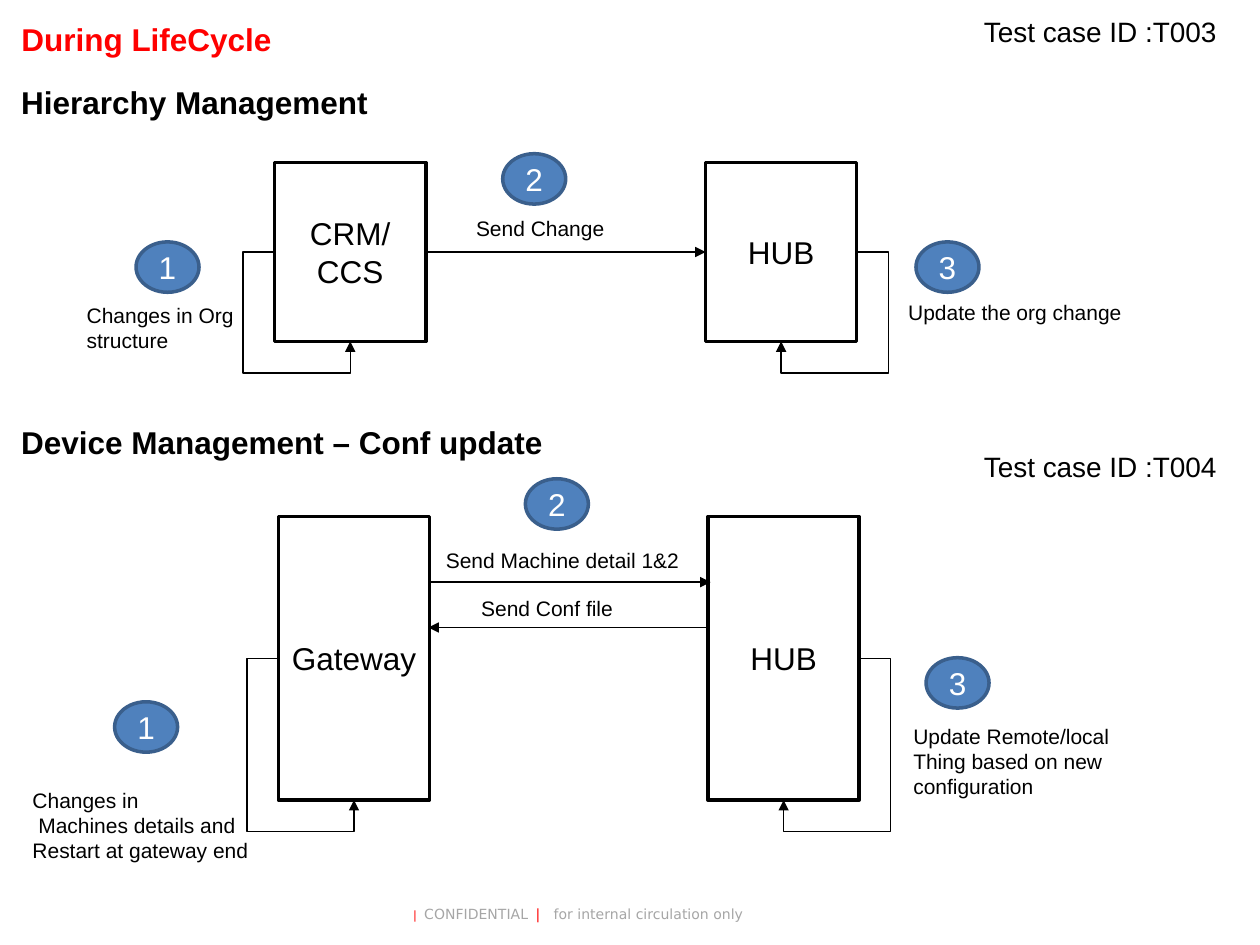
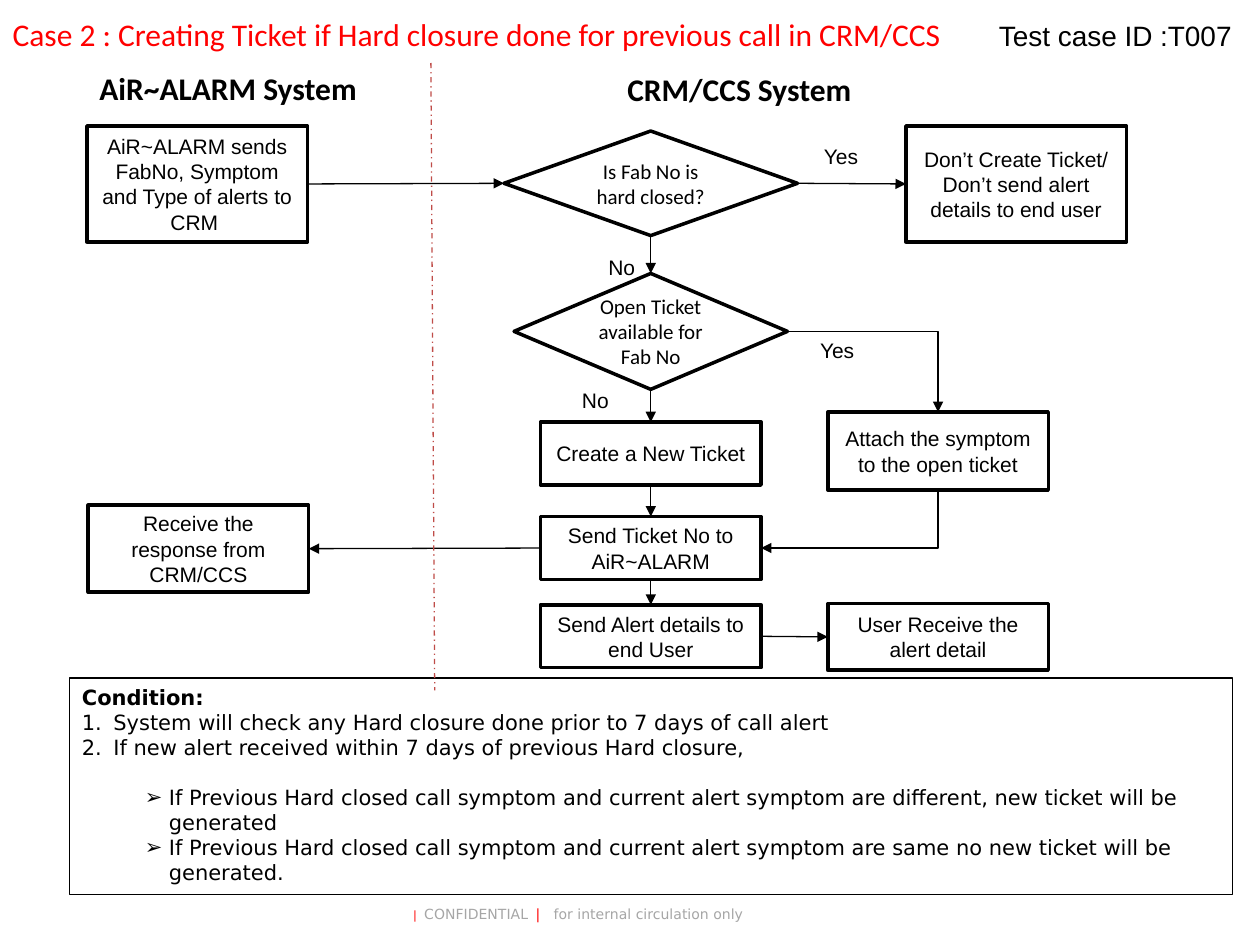
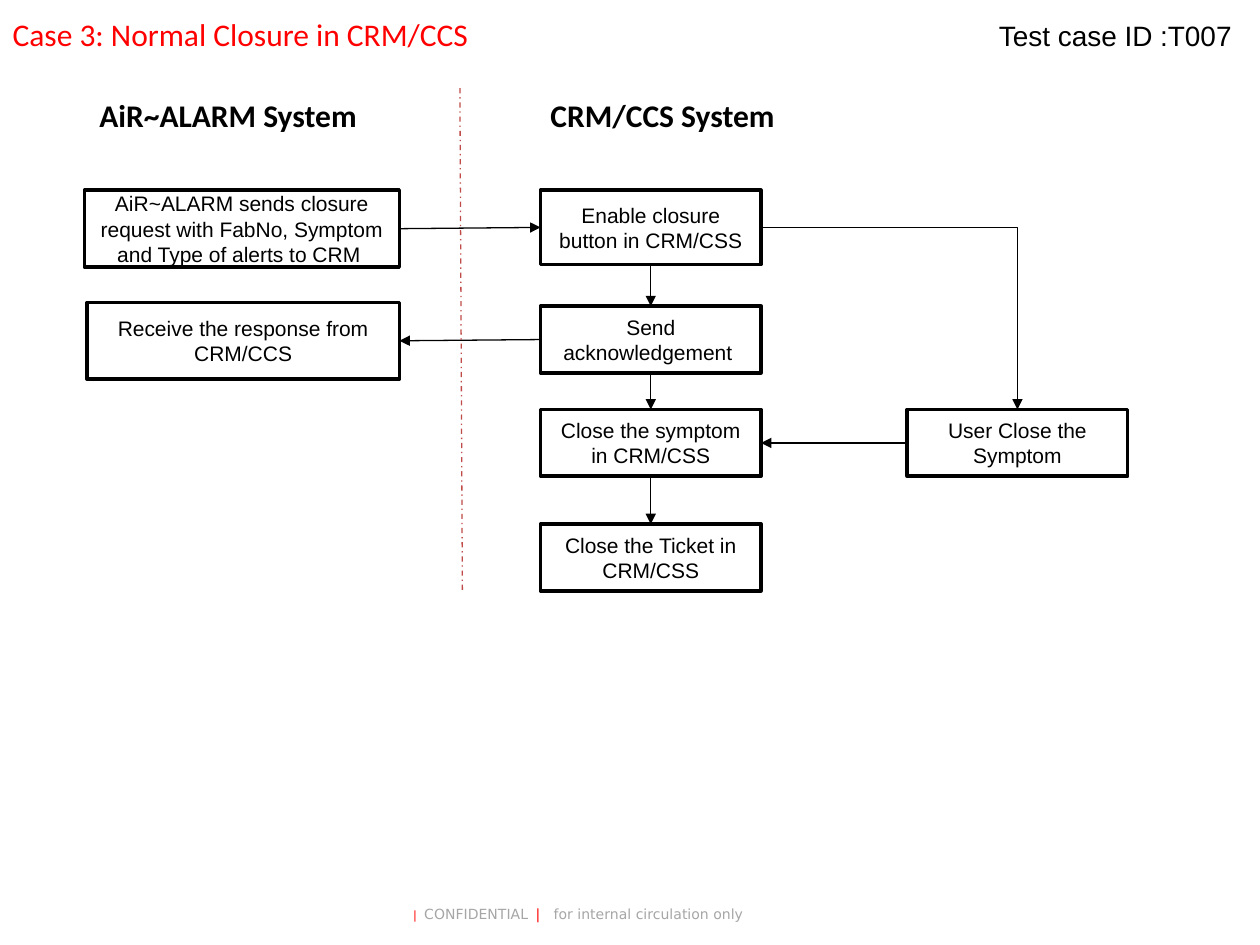
from lxml import etree
from pptx import Presentation
from pptx.dml.color import RGBColor
from pptx.enum.dml import MSO_LINE
from pptx.enum.shapes import MSO_CONNECTOR, MSO_SHAPE
from pptx.enum.text import MSO_ANCHOR, MSO_AUTO_SIZE, PP_ALIGN
from pptx.oxml.ns import qn
from pptx.util import Inches, Pt

RECTANGLE, OVAL = MSO_SHAPE.RECTANGLE, MSO_SHAPE.OVAL
DIAMOND, DECISION = MSO_SHAPE.DIAMOND, MSO_SHAPE.FLOWCHART_DECISION
STRAIGHT, ELBOW, DASH_DOT = MSO_CONNECTOR.STRAIGHT, MSO_CONNECTOR.ELBOW, MSO_LINE.DASH_DOT
LEFT, CENTER = PP_ALIGN.LEFT, PP_ALIGN.CENTER
TOP, MIDDLE, NO_AUTOFIT = MSO_ANCHOR.TOP, MSO_ANCHOR.MIDDLE, MSO_AUTO_SIZE.NONE
TITLE_ONLY, TITLE_AND_CONTENT = 5, 1
# Connection sites of rectangles and diamonds
TOP_SITE, LEFT_SITE, BOTTOM_SITE, RIGHT_SITE = range(4)

THEME = {
    "colors": {
        "black": RGBColor(0, 0, 0),
        "white": RGBColor(255, 255, 255),
        "red": RGBColor(255, 0, 0),
        "gray": RGBColor(0xA6, 0xA6, 0xA6),
        "blue": RGBColor(0x4F, 0x81, 0xBD),
        "dark blue": RGBColor(0x3A, 0x5F, 0x8C),
        "divider": RGBColor(0xBF, 0x4C, 0x48),
    },
    # font, size, bold, color
    "styles": {
        "life cycle title": ("Arial", 18, True, "red"),
        "case title": ("Calibri", 18, False, "red"),
        "section": ("Arial", 18, True, "black"),
        "system": ("Calibri", 18, True, "black"),
        "test case": ("Arial", 16, False, "black"),
        "large": ("Arial", 18, False, "black"),
        "label": ("Arial", 12, False, "black"),
        "decision": ("Calibri", 12, False, "black"),
        "step": ("Arial", 18, False, "white"),
        "condition": ("DejaVu Sans", 12, True, "black"),
        "rule": ("DejaVu Sans", 12, False, "black"),
        "footer bar small": ("DejaVu Sans", 6.5, False, "red"),
        "footer bar": ("DejaVu Sans", 8, False, "red"),
        "footer": ("DejaVu Sans", 8, False, "gray"),
    },
    "outline": Pt(2),
    "thin": Pt(0.75),
}
COLORS = THEME["colors"]
LOOP_REACH = Inches(0.25)


def write(shape, lines, align=LEFT, anchor=TOP):
    """Fill a shape with paragraphs, each a list of (text, style) runs."""
    frame = shape.text_frame
    settings = {"word_wrap": True, "auto_size": NO_AUTOFIT, "vertical_anchor": anchor}
    for name, value in settings.items():
        setattr(frame, name, value)
    for index, runs in enumerate(lines):
        paragraph = frame.add_paragraph() if index else frame.paragraphs[0]
        paragraph.alignment = align
        for text, style in runs:
            run = paragraph.add_run()
            run.text = text
            font_name, size, bold, color = THEME["styles"][style]
            for name, value in {"name": font_name, "size": Pt(size), "bold": bold}.items():
                setattr(run.font, name, value)
            run.font.color.rgb = COLORS[color]


def draw_line(slide, kind, points, color="black", arrow=None):
    connector = slide.shapes.add_connector(kind, *(Inches(value) for value in points))
    connector.line.color.rgb = COLORS[color]
    connector.line.width = THEME["thin"]
    if arrow:
        etree.SubElement(connector.get_or_add_ln(), qn(f"a:{arrow}"), type="triangle")
    etree.SubElement(connector.element.spPr, qn("a:effectLst"))
    return connector


PAGES = [
    {
        "layout": TITLE_ONLY,
        "title": ("During LifeCycle", "life cycle title", 0.07, 0.11, 5),
        "boxes": {
            "crm": (RECTANGLE, 2.18, 1.29, 1.2, 1.42, "CRM/\nCCS", "large"),
            "hub": (RECTANGLE, 5.6, 1.29, 1.2, 1.42, "HUB", "large"),
            "gateway": (RECTANGLE, 2.21, 4.1, 1.2, 2.25, "Gateway", "large"),
            "device hub": (RECTANGLE, 5.62, 4.1, 1.2, 2.25, "HUB", "large"),
        },
        "steps": [
            (1, 1.08, 1.92), (2, 3.99, 1.22), (3, 7.27, 1.92),
            (1, 0.91, 5.57), (2, 4.17, 3.8), (3, 7.35, 5.22),
        ],
        "arrows": [
            ("crm", RIGHT_SITE, "hub", LEFT_SITE),
        ],
        "loops": [
            ("crm", LEFT_SITE), ("hub", RIGHT_SITE),
            ("gateway", LEFT_SITE), ("device hub", RIGHT_SITE),
        ],
        "free arrows": [(3.42, 4.62, 5.64, 4.62), (5.62, 4.98, 3.4, 4.98)],
        "texts": [
            ("Hierarchy Management", "section", 0.07, 0.61, 5),
            ("Device Management – Conf update", "section", 0.07, 3.31, 5),
            ("Changes in Org structure", "label", 0.59, 2.35, 2),
            ("Send Change", "label", 3.68, 1.66, 2),
            ("Update the org change", "label", 7.11, 2.33, 2),
            ("Changes in\n Machines details and\nRestart at gateway end", "label", 0.16, 6.2, 2),
            ("Send Machine detail 1&2", "label", 3.44, 4.3, 2.18),
            ("Send Conf file", "label", 3.72, 4.68, 2.18),
            ("Update Remote/local Thing based on new configuration", "label", 7.15, 5.69, 2.18),
            ("Test case ID :T003", "test case", 7.71, 0.07, 2.15),
            ("Test case ID :T004", "test case", 7.71, 3.52, 2.15),
        ],
    },
    {
        "layout": TITLE_AND_CONTENT,
        "title": (
            "Case 2 : Creating Ticket if Hard closure done for previous call in CRM/CCS",
            "case title", 0, 0.07, 8.08,
        ),
        "boxes": {
            "alert": (RECTANGLE, 0.69, 1, 1.75, 0.92,
                      "AiR~ALARM sends FabNo, Symptom and Type of alerts to CRM ", "label"),
            "closed": (DIAMOND, 4, 1.04, 2.33, 0.83, "Is Fab No is hard closed?", "decision"),
            "ignore": (RECTANGLE, 7.19, 1, 1.75, 0.92,
                       "Don’t Create Ticket/ Don’t send alert details to end user", "label"),
            "open": (DECISION, 4.08, 2.17, 2.17, 0.92,
                     "Open Ticket available for Fab No", "decision"),
            "create": (RECTANGLE, 4.29, 3.35, 1.75, 0.5, "Create a New Ticket", "label"),
            "send": (RECTANGLE, 4.29, 4.1, 1.75, 0.5, "Send Ticket No to AiR~ALARM", "label"),
            "notify": (RECTANGLE, 4.29, 4.8, 1.75, 0.5, "Send Alert details to end User", "label"),
            "attach": (RECTANGLE, 6.57, 3.27, 1.75, 0.62,
                       "Attach the symptom to the open ticket", "label"),
            "receive": (RECTANGLE, 0.7, 4.01, 1.75, 0.69,
                        "Receive the response from CRM/CCS", "label"),
            "user": (RECTANGLE, 6.57, 4.79, 1.75, 0.53, "User Receive the alert detail", "label"),
        },
        "arrows": [
            ("alert", RIGHT_SITE, "closed", LEFT_SITE),
            ("closed", RIGHT_SITE, "ignore", LEFT_SITE),
            ("closed", BOTTOM_SITE, "open", TOP_SITE),
            ("open", BOTTOM_SITE, "create", TOP_SITE),
            ("create", BOTTOM_SITE, "send", TOP_SITE),
            ("send", BOTTOM_SITE, "notify", TOP_SITE),
            ("send", LEFT_SITE, "receive", RIGHT_SITE),
            ("notify", RIGHT_SITE, "user", LEFT_SITE),
        ],
        "corners": [
            ("open", "attach", TOP_SITE, "tailEnd"),
            ("send", "attach", BOTTOM_SITE, "headEnd"),
        ],
        "divider": (3.42, 0.5, 3.45, 5.48),
        "texts": [
            ("AiR~ALARM System", "system", 0.69, 0.5, 2.75),
            ("CRM/CCS System", "system", 4.88, 0.51, 2.75),
            ("Yes", "label", 6.44, 1.09, 0.88),
            ("Yes", "label", 6.41, 2.63, 0.88),
            ("No", "label", 4.73, 1.97, 0.88),
            ("No", "label", 4.52, 3.03, 0.88),
            ("Test case ID :T007", "test case", 7.83, 0.1, 2.15),
        ],
    },
    {
        "layout": TITLE_ONLY,
        "title": ("Case 3: Normal Closure in CRM/CCS", "case title", 0, 0.07, 4.42),
        "boxes": {
            "request": (RECTANGLE, 0.67, 1.51, 2.5, 0.61,
                        "AiR~ALARM sends closure request with FabNo, Symptom and Type of alerts to CRM ",
                        "label"),
            "receive": (RECTANGLE, 0.69, 2.4, 2.48, 0.61,
                        "Receive the response from CRM/CCS", "label"),
            "enable": (RECTANGLE, 4.29, 1.51, 1.75, 0.59,
                       "Enable closure button in CRM/CSS", "label"),
            "acknowledge": (RECTANGLE, 4.29, 2.43, 1.75, 0.53, "Send acknowledgement ", "label"),
            "close": (RECTANGLE, 4.29, 3.25, 1.75, 0.53, "Close the symptom in CRM/CSS", "label"),
            "user": (RECTANGLE, 7.2, 3.25, 1.75, 0.53, "User Close the Symptom", "label"),
            "ticket": (RECTANGLE, 4.29, 4.16, 1.75, 0.53, "Close the Ticket in CRM/CSS", "label"),
        },
        "arrows": [
            ("request", RIGHT_SITE, "enable", LEFT_SITE),
            ("acknowledge", LEFT_SITE, "receive", RIGHT_SITE),
            ("enable", BOTTOM_SITE, "acknowledge", TOP_SITE),
            ("acknowledge", BOTTOM_SITE, "close", TOP_SITE),
            ("close", BOTTOM_SITE, "ticket", TOP_SITE),
            ("user", LEFT_SITE, "close", RIGHT_SITE),
        ],
        "corners": [("enable", "user", TOP_SITE, "tailEnd")],
        "divider": (3.65, 0.7, 3.67, 4.7),
        "texts": [
            ("AiR~ALARM System", "system", 0.69, 0.71, 2.75),
            ("CRM/CCS System", "system", 4.27, 0.71, 2.75),
            ("Test case ID :T007", "test case", 7.83, 0.1, 2.15),
        ],
    },
]

FOOTER = [
    ("|  ", "footer bar small"), ("CONFIDENTIAL", "footer"), ("  ", "footer bar small"),
    ("|   ", "footer bar"), ("for internal circulation only", "footer"),
]

# text, style, level, left margin, hanging indent, bullet tag, bullet attributes, space before
NUMBERED = (0, 0.25, -0.25, "a:buAutoNum", {"type": "arabicPeriod"})
ARROWED = (1, 0.69, -0.19, "a:buChar", {"char": "➢"})
CONDITIONS = [
    ("Condition:", "condition", 0, 0, 0, "a:buNone", {}, 0),
    ("System will check any Hard closure done prior to 7 days of call alert",
     "rule", *NUMBERED, 0),
    ("If new alert received within 7 days of previous Hard closure,", "rule", *NUMBERED, 0),
    ("If Previous Hard closed call symptom and current alert symptom are different, "
     "new ticket will be generated", "rule", *ARROWED, 14),
    ("If Previous Hard closed call symptom and current alert symptom are same "
     "no new ticket will be generated.", "rule", *ARROWED, 0),
]

presentation = Presentation()
presentation.slide_width, presentation.slide_height = Inches(10), Inches(7.5)

for page in PAGES:
    slide = presentation.slides.add_slide(presentation.slide_layouts[page["layout"]])

    text, style, left, top, width = page["title"]
    title = slide.shapes.title
    title.left, title.top, title.width, title.height = map(Inches, (left, top, width, 0.4))
    write(title, [[(text, style)]])

    boxes = {}
    for name, (kind, left, top, width, height, text, style) in page["boxes"].items():
        box = slide.shapes.add_shape(kind, *map(Inches, (left, top, width, height)))
        box.shadow.inherit = False
        box.fill.solid()
        box.fill.fore_color.rgb = COLORS["white"]
        box.line.color.rgb = COLORS["black"]
        box.line.width = THEME["outline"]
        write(box, [[(line, style)] for line in text.split("\n")], CENTER, MIDDLE)
        boxes[name] = box

    for number, left, top in page.get("steps", []):
        circle = slide.shapes.add_shape(OVAL, *map(Inches, (left, top, 0.5, 0.4)))
        circle.shadow.inherit = False
        circle.fill.solid()
        circle.fill.fore_color.rgb = COLORS["blue"]
        circle.line.color.rgb = COLORS["dark blue"]
        circle.line.width = THEME["outline"]
        write(circle, [[(str(number), "step")]], CENTER, MIDDLE)

    links = [(STRAIGHT, "line", *arrow, "tailEnd") for arrow in page["arrows"]]
    links += [(ELBOW, "bentConnector2", start, RIGHT_SITE, end, site, arrow)
              for start, end, site, arrow in page.get("corners", [])]
    links += [(ELBOW, "bentConnector4", name, site, name, BOTTOM_SITE, "tailEnd")
              for name, site in page.get("loops", [])]
    for kind, preset, start, start_site, end, end_site, arrow in links:
        connector = draw_line(slide, kind, (0, 0, 1, 1), arrow=arrow)
        connector.begin_connect(boxes[start], start_site)
        connector.end_connect(boxes[end], end_site)
        geometry = connector.element.spPr.find(qn("a:prstGeom"))
        geometry.set("prst", preset)
        if preset == "bentConnector4":
            guides = geometry.find(qn("a:avLst"))
            ratios = (-LOOP_REACH / connector.width, 1 + LOOP_REACH / connector.height)
            for index, ratio in enumerate(ratios, 1):
                etree.SubElement(guides, qn("a:gd"), name=f"adj{index}",
                                 fmla=f"val {round(ratio * 100000)}")

    for points in page.get("free arrows", []):
        draw_line(slide, STRAIGHT, points, arrow="tailEnd")
    if "divider" in page:
        divider = draw_line(slide, STRAIGHT, page["divider"], "divider")
        divider.line.dash_style = DASH_DOT

    for text, style, left, top, width in page["texts"]:
        label = slide.shapes.add_textbox(*map(Inches, (left, top, width, 0.4)))
        write(label, [[(line, style)] for line in text.split("\n")])

    if page["layout"] == TITLE_AND_CONTENT:
        body = slide.placeholders[1]
        body.left, body.top, body.width, body.height = map(Inches, (0.55, 5.38, 9.23, 1.72))
        body.line.color.rgb = COLORS["black"]
        body.line.width = THEME["thin"]
        write(body, [[(text, style)] for text, style, *_ in CONDITIONS])
        for paragraph, condition in zip(body.text_frame.paragraphs, CONDITIONS):
            level, margin, indent, bullet, attributes, space = condition[2:]
            paragraph.level = level
            properties = paragraph._p.get_or_add_pPr()
            properties.set("marL", str(Inches(margin)))
            properties.set("indent", str(Inches(indent)))
            etree.SubElement(properties, qn(bullet), attributes)
            paragraph.space_before = Pt(space)

# The footer belongs to the master, so every slide shows it
footer = presentation.slides[0].shapes.add_textbox(*map(Inches, (1, 7, 7.18, 0.5)))
write(footer, [FOOTER], CENTER, MIDDLE)
presentation.slide_master.shapes.element.append(footer.element)

presentation.save("out.pptx")
